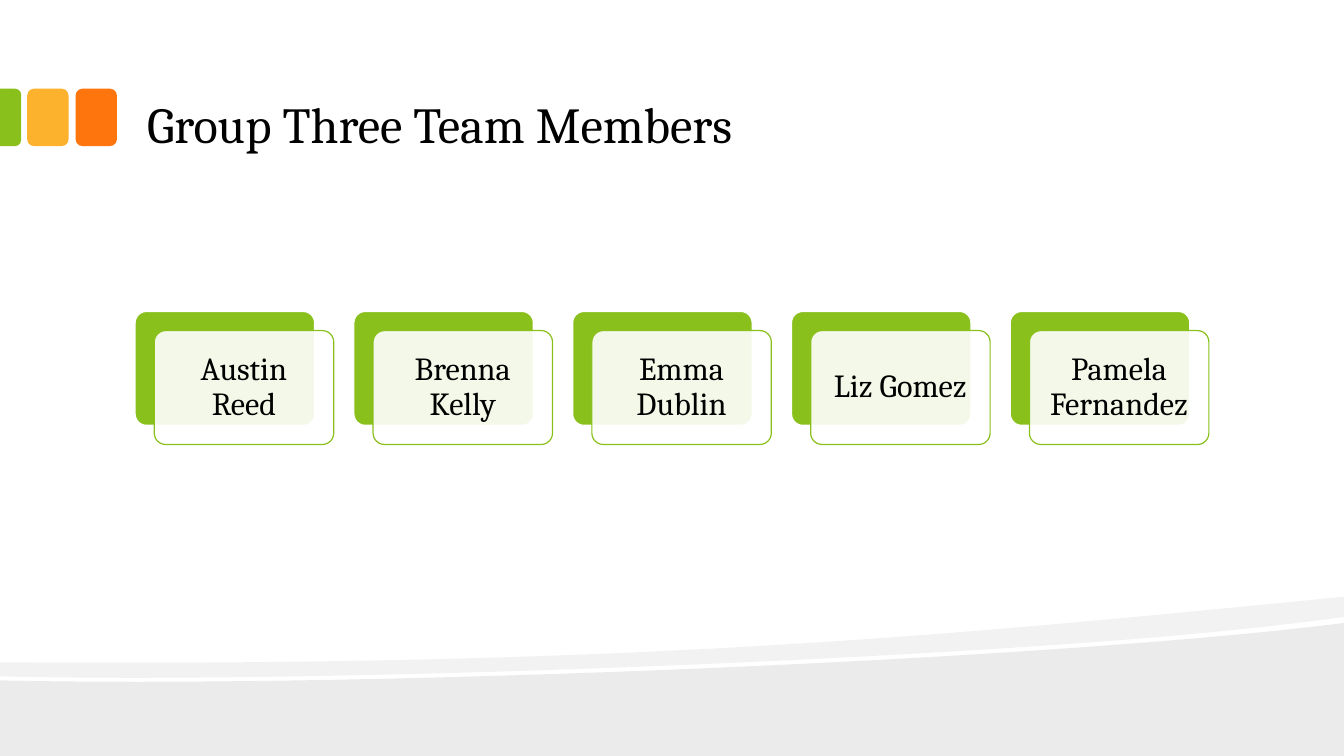
from dataclasses import dataclass

from lxml.etree import SubElement
from pptx import Presentation
from pptx.dml.color import RGBColor
from pptx.enum.shapes import MSO_SHAPE as Shape
from pptx.enum.text import MSO_ANCHOR as Anchor, PP_ALIGN as Align
from pptx.oxml.ns import qn
from pptx.util import Inches, Pt


@dataclass(frozen=True)
class Theme:
    font: str = "Cambria"
    title_size: int = 36
    name_size: int = 23
    ink: str = "000000"
    paper: str = "FFFFFF"
    green: str = "89C01C"
    amber: str = "FCB22C"
    orange: str = "FE750E"


theme = Theme()


def paint(shape, fill, opacity=100, line=None):
    """Fill and outline a shape; opacity is in percent."""
    shape.shadow.inherit = False
    shape.fill.solid()
    shape.fill.fore_color.rgb = RGBColor.from_string(fill)
    if opacity < 100:
        color = shape.fill._xPr.find(qn("a:solidFill"))[0]
        SubElement(color, qn("a:alpha"), val=str(opacity * 1000))
    if line:
        shape.line.color.rgb = RGBColor.from_string(line)
        shape.line.width = Pt(0.85)
    else:
        shape.line.fill.background()


def write(shape, text, size, align=Align.LEFT, anchor=Anchor.MIDDLE,
          inset_x=0.13, inset_y=0.13, spacing=1.0):
    frame = shape.text_frame
    frame.word_wrap = True
    frame.vertical_anchor = anchor
    frame.margin_left = frame.margin_right = Inches(inset_x)
    frame.margin_top = frame.margin_bottom = Inches(inset_y)
    paragraph = frame.paragraphs[0]
    paragraph.alignment = align
    paragraph.line_spacing = spacing
    run = paragraph.add_run()
    run.text = text
    run.font.name = theme.font
    run.font.size = Pt(size)
    run.font.color.rgb = RGBColor.from_string(theme.ink)


WIDTH, HEIGHT = 13.33, 7.5
deck = Presentation()
deck.slide_width, deck.slide_height = Inches(WIDTH), Inches(HEIGHT)
slide = deck.slides.add_slide(deck.slide_layouts[6])
shapes = slide.shapes

# Footer waves: opacity, start, then lines (one point) and Bézier curves (three)
waves = [
    (8, (WIDTH, 6.18), [
        [(WIDTH, HEIGHT)],
        [(0, HEIGHT)],
        [(0, 6.75)],
        [(3.52, 6.83), (10.42, 6.55), (WIDTH, 6.18)],
    ]),
    (5, (WIDTH, 5.92), [
        [(WIDTH, 6.12)],
        [(12.55, 6.23), (11.49, 6.33), (10.29, 6.41)],
        [(6.98, 6.63), (2.58, 6.77), (0, 6.71)],
        [(0, 6.57)],
        [(6.52, 6.62), (9.71, 6.27), (WIDTH, 5.92)],
    ]),
]
for opacity, (start_x, start_y), segments in waves:
    builder = shapes.build_freeform(Inches(start_x), Inches(start_y))
    for segment in segments:
        builder.add_line_segments([(Inches(x), Inches(y)) for x, y in segment], close=False)
    wave = builder.convert_to_shape()
    outline = next(wave._element.iter(qn("a:path")))
    lines = iter(outline.findall(qn("a:lnTo")))
    for segment in segments:
        first, *others = [next(lines) for _ in segment]
        if others:
            # Three points in a row become one cubic curve
            first.tag = qn("a:cubicBezTo")
            for other in others:
                first.append(other[0])
                outline.remove(other)
    SubElement(outline, qn("a:close"))
    paint(wave, theme.ink, opacity)

# Colour tabs beside the title
for left, color in ((0.75, theme.orange), (0.27, theme.amber)):
    tab = shapes.add_shape(Shape.ROUNDED_RECTANGLE, Inches(left), Inches(0.88),
                           Inches(0.41), Inches(0.57))
    paint(tab, color)
edge_tab = shapes.add_shape(Shape.ROUND_2_SAME_RECTANGLE, Inches(-0.18), Inches(1.06),
                            Inches(0.57), Inches(0.21))
edge_tab.rotation = 90
edge_tab.adjustments[0] = 0.29
paint(edge_tab, theme.green)

title = shapes.add_textbox(Inches(1.33), Inches(0.17), Inches(10.66), Inches(1.42))
write(title, "Group Three Team Members", theme.title_size,
      anchor=Anchor.BOTTOM, inset_y=0.07)

# Member cards: a green back and a translucent front, offset diagonally
members = ["Austin Reed", "Brenna Kelly", "Emma Dublin", "Liz Gomez", "Pamela Fernandez"]
CARD_LEFT, CARD_TOP, CARD_PITCH, CARD_OFFSET = 1.34, 3.09, 2.17, 0.19
for index, member in enumerate(members):
    left = CARD_LEFT + index * CARD_PITCH
    for offset, fill, opacity, line in ((0, theme.green, 100, theme.paper),
                                        (CARD_OFFSET, theme.paper, 90, theme.green)):
        card = shapes.add_shape(Shape.ROUNDED_RECTANGLE, Inches(left + offset),
                                Inches(CARD_TOP + offset), Inches(1.78), Inches(1.13))
        card.adjustments[0] = 0.1
        paint(card, fill, opacity, line)
    write(card, member, theme.name_size, align=Align.CENTER, spacing=0.9)

deck.save("out.pptx")
